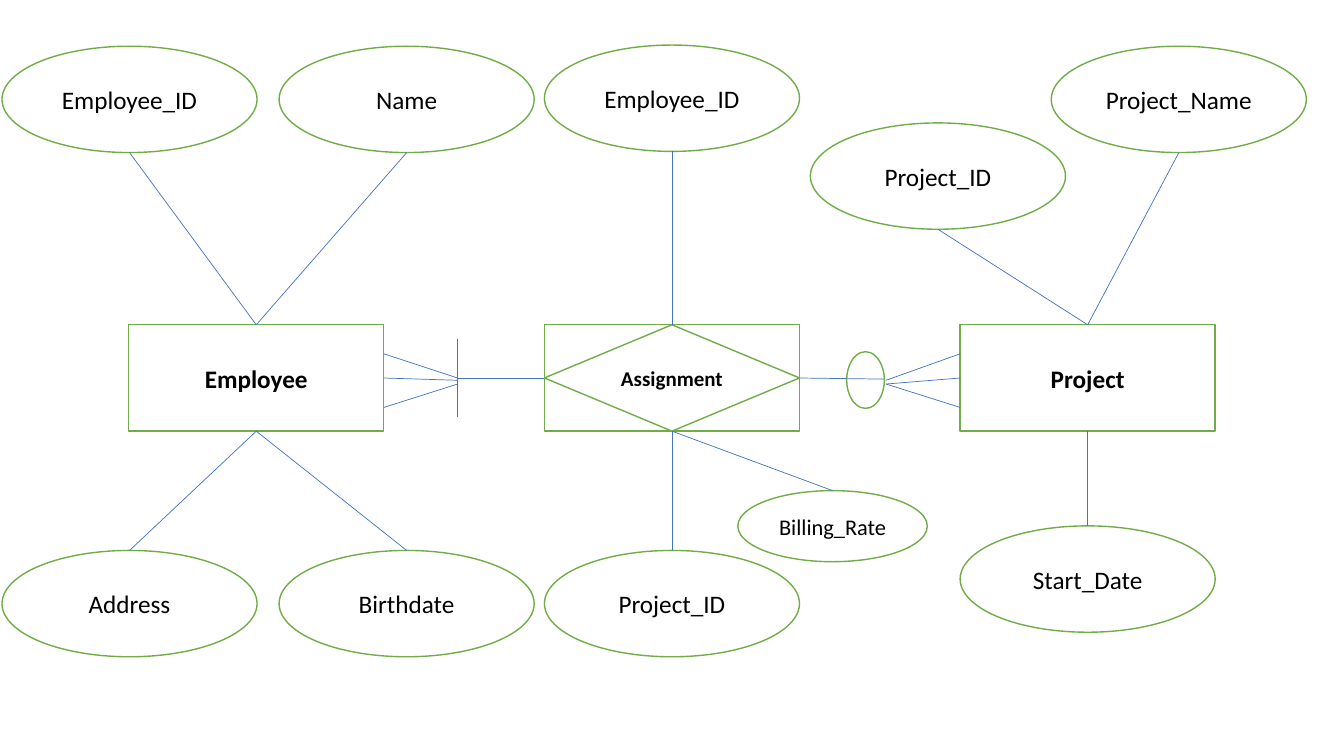
from collections import namedtuple

from lxml.etree import SubElement
from pptx import Presentation
from pptx.dml.color import RGBColor
from pptx.enum.shapes import MSO_CONNECTOR as Link, MSO_SHAPE as Kind
from pptx.enum.text import MSO_ANCHOR as Anchor, PP_ALIGN as Align
from pptx.oxml.ns import qn
from pptx.util import Inches, Pt

SLIDE_WIDTH, SLIDE_HEIGHT = Inches(13.33), Inches(7.5)
GREEN, BLUE, WHITE, BLACK = "70AD47", "4472C4", "FFFFFF", "000000"

# All places and sizes are percentages of the slide's width and height.
NODE_SIZE = (18.98, 14.07)
MIDDLE = 50
ENTITY_STEP = 30.93
EMPLOYEE_X, ASSIGNMENT_X, PROJECT_X = (MIDDLE + ENTITY_STEP * step for step in (-1, 0, 1))
LEFT_X, RIGHT_X = 9.64, 30.26
TOP_Y, BOTTOM_Y = 13.15, 79.85
PRONG_ENDS = (46.8, 50, 53.9)

ENTITIES = {
    "Employee": (EMPLOYEE_X, Kind.RECTANGLE, 18),
    "Assignment": (ASSIGNMENT_X, Kind.FLOWCHART_DECISION, 15),
    "Project": (PROJECT_X, Kind.RECTANGLE, 18),
}
ATTRIBUTES = {
    "Employee": [
        ("Employee_ID", LEFT_X, TOP_Y),
        ("Name", RIGHT_X, TOP_Y),
        ("Address", LEFT_X, BOTTOM_Y),
        ("Birthdate", RIGHT_X, BOTTOM_Y),
    ],
    "Assignment": [
        ("Employee_ID", ASSIGNMENT_X, 13),
        ("Project_ID", ASSIGNMENT_X, BOTTOM_Y),
        ("Billing_Rate", 61.95, 69.6, (14.1, 9.4), 16),
    ],
    "Project": [
        ("Project_Name", 87.71, TOP_Y),
        ("Project_ID", 69.79, 23.3),
        ("Start_Date", PROJECT_X, 76.6),
    ],
}

Node = namedtuple("Node", "x top bottom left right")


def color(value):
    """Turn a hex string into a colour."""
    return RGBColor.from_string(value)


def across(share):
    """Turn a percentage of the slide's width into a length."""
    return int(SLIDE_WIDTH * share / 100)


def down(share):
    """Turn a percentage of the slide's height into a length."""
    return int(SLIDE_HEIGHT * share / 100)


def set_format(target, **values):
    """Set each named value on the target."""
    for name, value in values.items():
        setattr(target, name, value)


def add_node(page, kind, x, y, size=NODE_SIZE, label="", points=18, bold=False):
    """Draw an outlined shape centred on x and y and return its edges."""
    width, height = size
    left, top = x - width / 2, y - height / 2
    box = page.shapes.add_shape(kind, across(left), down(top), across(width), down(height))
    box.shadow.inherit = False
    box.fill.solid()
    box.fill.fore_color.rgb = color(WHITE)
    box.line.color.rgb = color(GREEN)
    box.line.width = Pt(1)
    if label:
        set_format(box.text_frame, vertical_anchor=Anchor.MIDDLE, word_wrap=True,
                   margin_left=0, margin_right=0)
        para = box.text_frame.paragraphs[0]
        para.alignment = Align.CENTER
        span = para.add_run()
        span.text = label
        set_format(span.font, name="Calibri", size=Pt(points), bold=bold)
        span.font.color.rgb = color(BLACK)
    return Node(x, top, top + height, left, left + width)


def add_line(page, start, end):
    """Draw a thin line between two points."""
    line = page.shapes.add_connector(
        Link.STRAIGHT, across(start[0]), down(start[1]), across(end[0]), down(end[1]))
    line.line.color.rgb = color(BLUE)
    line.line.width = Pt(0.5)
    SubElement(line._element.spPr, qn("a:effectLst"))


def add_attribute(page, entity, label, x, y, size=NODE_SIZE, points=18):
    """Draw an attribute and link it to the facing edge of its entity."""
    node = add_node(page, Kind.OVAL, x, y, size, label, points)
    if y < MIDDLE:
        add_line(page, (x, node.bottom), (entity.x, entity.top))
    else:
        add_line(page, (x, node.top), (entity.x, entity.bottom))


def add_crow_foot(page, tip_x, tips, edge_x):
    """Fan three prongs out from a tip to the edge of an entity."""
    for tip, end in zip(tips, PRONG_ENDS):
        add_line(page, (tip_x, tip), (edge_x, end))


def main():
    """Build the entity relationship diagram."""
    deck = Presentation()
    set_format(deck, slide_width=SLIDE_WIDTH, slide_height=SLIDE_HEIGHT)
    page = deck.slides.add_slide(deck.slide_layouts[6])

    optional = add_node(page, Kind.OVAL, 64.4, 50.27, (2.8, 7.5))
    add_node(page, Kind.RECTANGLE, ASSIGNMENT_X, MIDDLE)
    entities = {
        label: add_node(page, kind, x, MIDDLE, label=label, points=points, bold=True)
        for label, (x, kind, points) in ENTITIES.items()
    }
    for owner, attributes in ATTRIBUTES.items():
        for attribute in attributes:
            add_attribute(page, entities[owner], *attribute)

    employee, assignment, project = entities.values()
    bar_x = 34.05
    add_line(page, (assignment.left, MIDDLE), (bar_x, MIDDLE))
    add_line(page, (bar_x, 44.8), (bar_x, 55.2))
    add_crow_foot(page, bar_x, (50, 50.3, 50.8), employee.right)
    add_line(page, (assignment.right, MIDDLE), (optional.right, 50.15))
    add_crow_foot(page, 65.93, (50.3, 50.8, 50.8), project.left)

    deck.save("out.pptx")


main()
